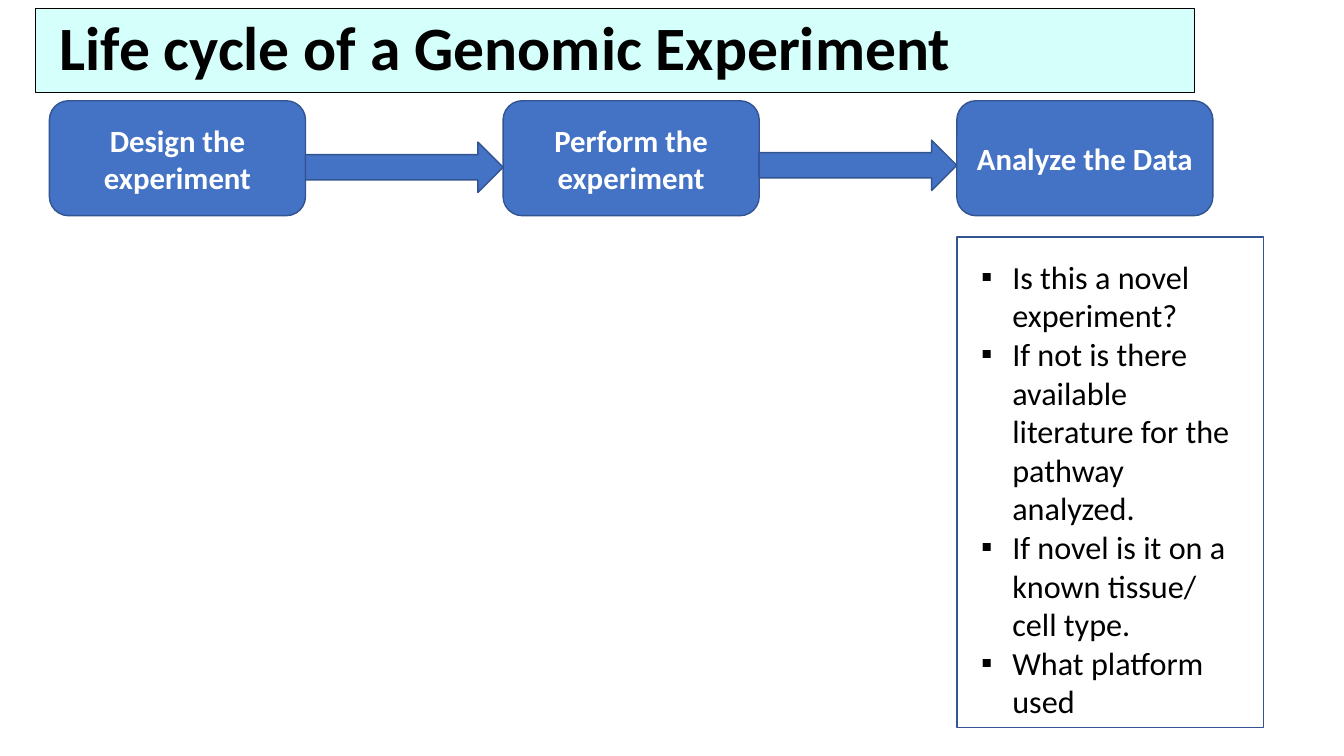
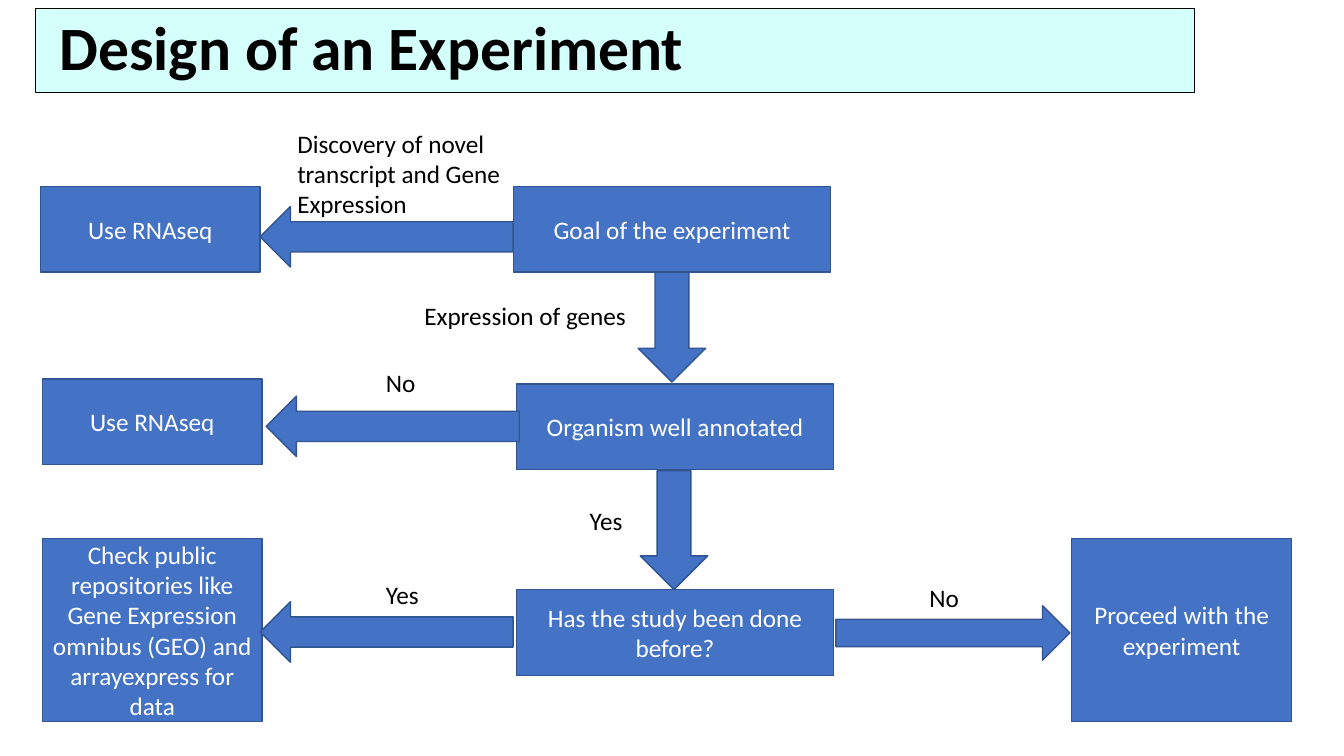
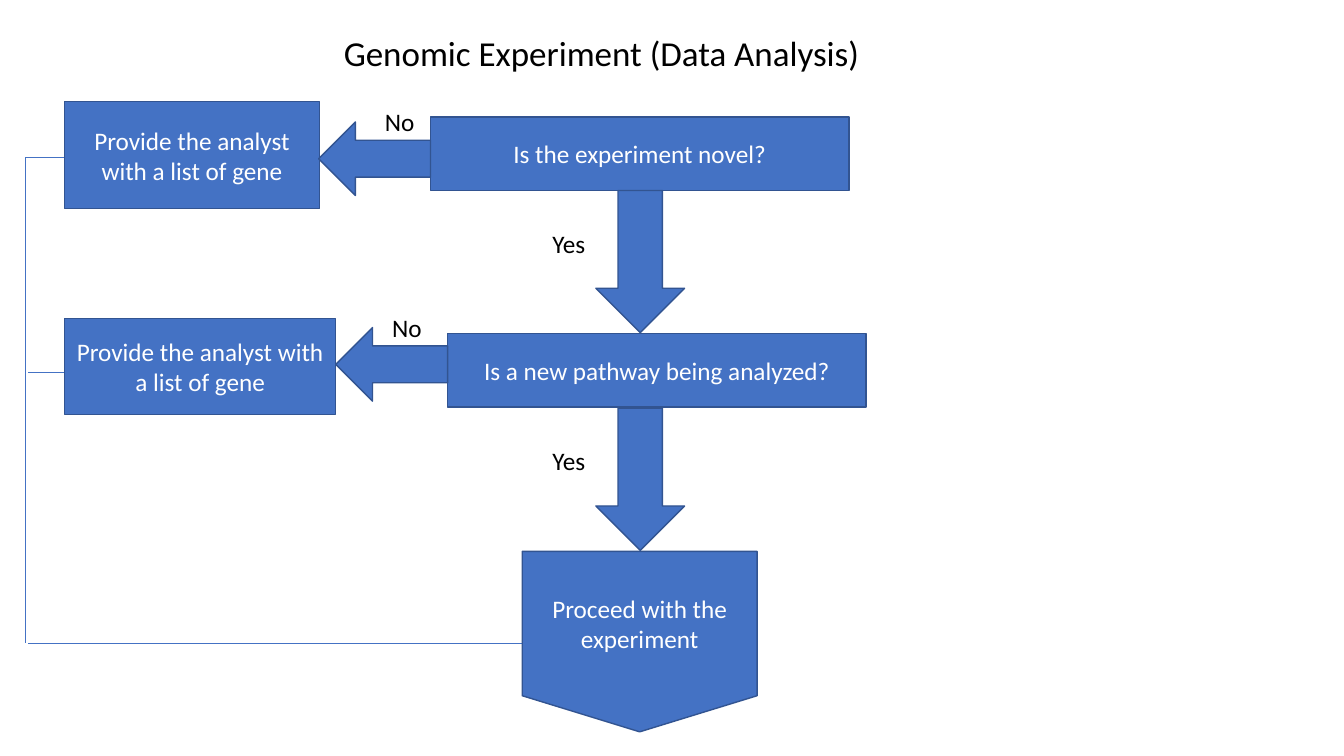
import pptx
import pptx.dml.color
import pptx.enum.shapes
import pptx.enum.text
import pptx.oxml.ns
import pptx.util
import lxml.etree

PX = 9144
FONT = "Calibri"
COLORS = {"node": "4472C4", "edge": "325491", "banner": "D5FFFA",
          "ink": "000000", "light": "FFFFFF"}
KIND = pptx.enum.shapes.MSO_SHAPE
ALIGN = pptx.enum.text.PP_ALIGN
ANCHOR = pptx.enum.text.MSO_ANCHOR
FIT = pptx.enum.text.MSO_AUTO_SIZE

BANNER = (35, 8, 1150, 84)
PLAIN_TITLE = (331, 26, 538, 52)
LABEL_HEIGHT = 40
LABEL_WIDTHS = {"Yes": 53, "No": 50}

STAGES = ["Design the experiment", "Perform the experiment", "Analyze the Data"]
STAGE_LEFT, STAGE_TOP, STAGE_WIDTH, STAGE_HEIGHT, STAGE_STEP = 49, 100, 254, 114, 450
STAGE_ARROW_TOPS = [141, 139]
STAGE_ARROW_HEIGHT = 50
QUESTION_FRAME = (949, 235, 304, 487)
QUESTION_BODY = (963, 250, 276, 500)
QUESTION_INDENT = 31
QUESTIONS = [
    "Is this a novel experiment?",
    "If not is there available literature for the pathway analyzed.",
    "If novel is it on a known tissue/ cell type.",
    "What platform used",
]

DECISION = (315, 85)
OUTCOME = (218, 85)
TALL_OUTCOME = (218, 182)
LEFT_ARROW = (251, 60)
QUESTION = (415, 73)
SHORT_ARROW = (111, 73)
DROP_ARROW = (88, 141)

DESIGN = {
    "nodes": [
        ("Goal of the experiment", (509, 185), DECISION),
        ("Organism well annotated", (512, 381), DECISION),
        ("Has the study been done before?", (512, 585), DECISION),
        ("Use RNAseq", (40, 185), OUTCOME),
        ("Use RNAseq", (42, 376), OUTCOME),
        ("Check public repositories like Gene Expression omnibus (GEO) "
         "and arrayexpress for data", (42, 534), TALL_OUTCOME),
        ("Proceed with the experiment", (1063, 534), TALL_OUTCOME),
    ],
    "arrows": [
        (KIND.LEFT_ARROW, (258, 205), LEFT_ARROW),
        (KIND.LEFT_ARROW, (264, 393), LEFT_ARROW),
        (KIND.LEFT_ARROW, (258, 597), LEFT_ARROW),
        (KIND.DOWN_ARROW, (633, 270), (67, 109)),
        (KIND.DOWN_ARROW, (635, 467), (67, 118)),
        (KIND.RIGHT_ARROW, (829, 601), (232, 54)),
    ],
    "labels": [("Expression of genes", 411, 293), ("No", 373, 359),
               ("Yes", 373, 570), ("No", 912, 573), ("Yes", 575, 496)],
}
NOVEL_LABEL = ("Discovery of novel transcript and Gene Expression",
               (285, 122, 301, 101))

ANALYSIS = {
    "nodes": [
        ("Is the experiment novel?", (427, 116), QUESTION),
        ("Is a new pathway being analyzed?", (444, 331), QUESTION),
        ("Provide the analyst with a list of gene", (64, 101), (253, 106)),
        ("Provide the analyst with a list of gene", (64, 316), (269, 95)),
    ],
    "arrows": [
        (KIND.DOWN_ARROW, (591, 189), DROP_ARROW),
        (KIND.DOWN_ARROW, (591, 405), DROP_ARROW),
        (KIND.LEFT_ARROW, (316, 121), SHORT_ARROW),
        (KIND.LEFT_ARROW, (333, 325), SHORT_ARROW),
    ],
    "labels": [("Yes", 538, 222), ("Yes", 538, 437),
               ("No", 372, 101), ("No", 379, 305)],
}
FINAL_STEP = ("Proceed with the experiment", (518, 547, 233, 179))
RETURN_LINES = [(64, 156, 25, 156), (25, 156, 25, 638),
                (66, 369, 28, 369), (28, 638, 538, 638)]


def emu(values):
    return [value * PX for value in values]


def rgb(name):
    return pptx.dml.color.RGBColor.from_string(COLORS[name])


def write(paragraph, text, size, color="ink", bold=False):
    run = paragraph.add_run()
    run.text = text
    run.font.name = FONT
    run.font.size = pptx.util.Pt(size)
    run.font.bold = bold
    run.font.color.rgb = rgb(color)


def outline(shape, color, width):
    shape.line.color.rgb = rgb(color)
    shape.line.width = pptx.util.Pt(width)


def place(shape, box):
    shape.left, shape.top, shape.width, shape.height = emu(box)


def add_block(slide, kind, box, text="", size=18, bold=False, fill="node"):
    shape = slide.shapes.add_shape(kind, *emu(box))
    shape.shadow.inherit = False
    if fill:
        shape.fill.solid()
        shape.fill.fore_color.rgb = rgb(fill)
    else:
        shape.fill.background()
    outline(shape, "edge", 1)
    if text:
        frame = shape.text_frame
        frame.word_wrap = True
        frame.vertical_anchor = ANCHOR.MIDDLE
        frame.paragraphs[0].alignment = ALIGN.CENTER
        write(frame.paragraphs[0], text, size, "light", bold)


def add_label(slide, text, box, wrap=False):
    frame = slide.shapes.add_textbox(*emu(box)).text_frame
    frame.word_wrap = wrap
    frame.auto_size = FIT.SHAPE_TO_FIT_TEXT
    write(frame.paragraphs[0], text, 18)


def add_line(slide, ends):
    line = slide.shapes.add_connector(
        pptx.enum.shapes.MSO_CONNECTOR.STRAIGHT, *emu(ends))
    outline(line, "node", 0.5)
    properties = line._element.spPr
    lxml.etree.SubElement(properties, pptx.oxml.ns.qn("a:effectLst"))


def set_title(slide, text, banner=True):
    title = slide.shapes.title
    place(title, BANNER if banner else PLAIN_TITLE)
    frame = title.text_frame
    frame.auto_size = FIT.NONE
    frame.word_wrap = banner
    frame.vertical_anchor = ANCHOR.MIDDLE
    paragraph = frame.paragraphs[0]
    paragraph.alignment = ALIGN.LEFT
    if banner:
        title.fill.solid()
        title.fill.fore_color.rgb = rgb("banner")
        outline(title, "ink", 0.75)
        frame.margin_left = 24 * PX
        paragraph.line_spacing = 0.9
    write(paragraph, text, 44 if banner else 25, bold=banner)


def fill_questions(body):
    place(body, QUESTION_BODY)
    frame = body.text_frame
    frame.auto_size = FIT.NONE
    frame.word_wrap = True
    frame.vertical_anchor = ANCHOR.TOP
    for index, question in enumerate(QUESTIONS):
        paragraph = frame.add_paragraph() if index else frame.paragraphs[0]
        paragraph.alignment = ALIGN.LEFT
        paragraph.space_before = pptx.util.Pt(0)
        properties = paragraph._p.get_or_add_pPr()
        properties.set("marL", str(QUESTION_INDENT * PX))
        properties.set("indent", str(-QUESTION_INDENT * PX))
        for tag, key, value in (("a:buFont", "typeface", "Arial"),
                                ("a:buChar", "char", "▪")):
            lxml.etree.SubElement(properties, pptx.oxml.ns.qn(tag)).set(key, value)
        write(paragraph, question, 23)


def draw_flow(slide, flow):
    for text, position, size in flow["nodes"]:
        add_block(slide, KIND.RECTANGLE, position + size, text)
    for kind, position, size in flow["arrows"]:
        add_block(slide, kind, position + size)
    for text, left, top in flow["labels"]:
        width = LABEL_WIDTHS.get(text, 222)
        add_label(slide, text, (left, top, width, LABEL_HEIGHT))


def build_life_cycle(presentation):
    slide = presentation.slides.add_slide(presentation.slide_layouts[1])
    set_title(slide, "Life cycle of a Genomic Experiment")
    for index, stage in enumerate(STAGES):
        left = STAGE_LEFT + index * STAGE_STEP
        add_block(slide, KIND.ROUNDED_RECTANGLE,
                  (left, STAGE_TOP, STAGE_WIDTH, STAGE_HEIGHT), stage, 22, True)
    for index, top in enumerate(STAGE_ARROW_TOPS):
        left = STAGE_LEFT + index * STAGE_STEP + STAGE_WIDTH
        add_block(slide, KIND.RIGHT_ARROW,
                  (left, top, STAGE_STEP - STAGE_WIDTH, STAGE_ARROW_HEIGHT))
    add_block(slide, KIND.RECTANGLE, QUESTION_FRAME, fill=None)
    fill_questions(slide.placeholders[1])


def build_design(presentation):
    slide = presentation.slides.add_slide(presentation.slide_layouts[5])
    set_title(slide, "Design of an Experiment")
    draw_flow(slide, DESIGN)
    add_label(slide, *NOVEL_LABEL, wrap=True)


def build_analysis(presentation):
    slide = presentation.slides.add_slide(presentation.slide_layouts[5])
    set_title(slide, "Genomic Experiment (Data Analysis)", banner=False)
    for ends in RETURN_LINES:
        add_line(slide, ends)
    draw_flow(slide, ANALYSIS)
    text, box = FINAL_STEP
    add_block(slide, KIND.FLOWCHART_OFFPAGE_CONNECTOR, box, text)


def main():
    presentation = pptx.Presentation()
    presentation.slide_width, presentation.slide_height = emu((1333, 750))
    build_life_cycle(presentation)
    build_design(presentation)
    build_analysis(presentation)
    presentation.save("out.pptx")


if __name__ == "__main__":
    main()
